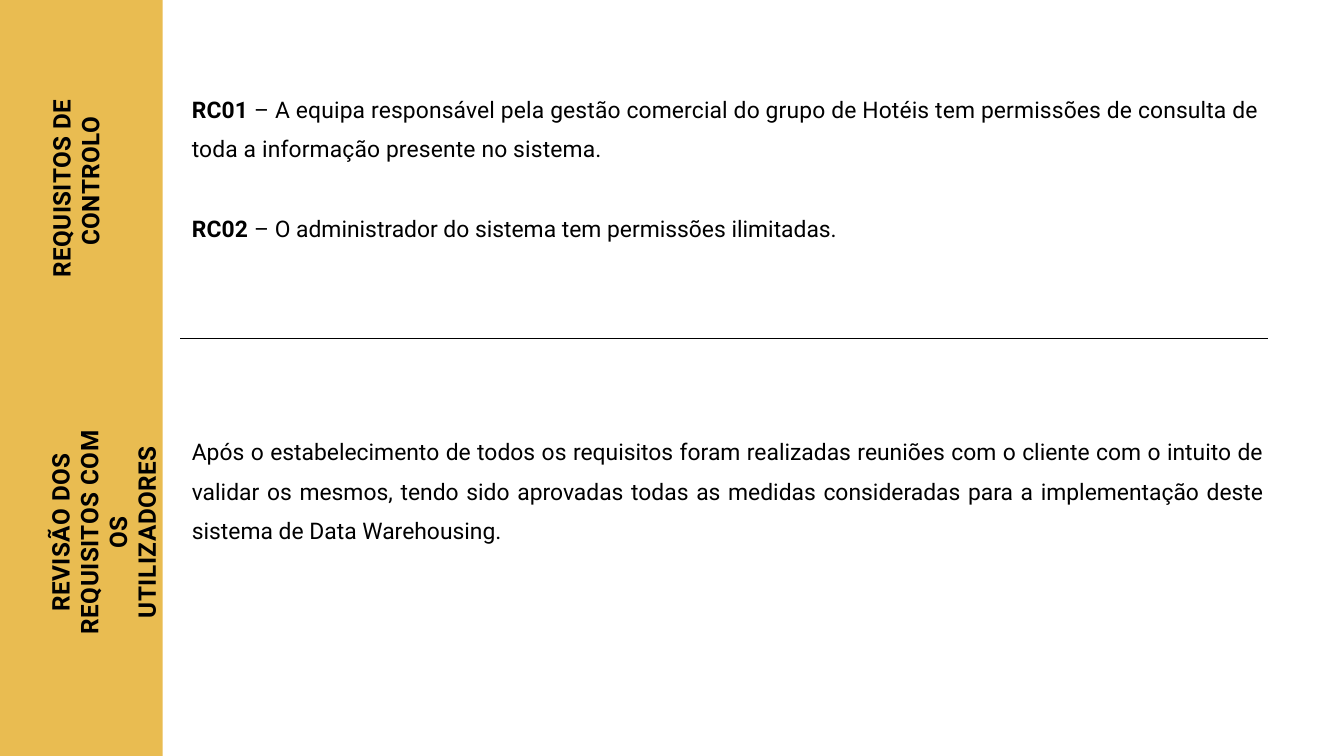
"""Build a slide with two rotated side labels, their texts and a rule between them."""
from lxml import etree
from pptx import Presentation, util as u
from pptx.dml.color import RGBColor
from pptx.enum import shapes, text
from pptx.oxml.ns import qn

HUES = {"gold": "E1A10A", "ink": "000000"}
ALIGN = text.PP_ALIGN


def place(shape, box):
    for name, size in zip(("left", "top", "width", "height"), box):
        setattr(shape, name, u.Pt(size))


def write(shape, paras, looks, size, inset=(0, 0), gap=0):
    frame = shape.text_frame
    form = {"word_wrap": True, "auto_size": text.MSO_AUTO_SIZE.NONE,
            "vertical_anchor": text.MSO_ANCHOR.TOP, "margin_left": 0,
            "margin_right": 0, "margin_top": u.Pt(1), "margin_bottom": 0}
    for name, value in form.items():
        setattr(frame, name, value)
    for num, runs in enumerate(paras):
        para = frame.add_paragraph() if num else frame.paragraphs[0]
        props = para._p.get_or_add_pPr()
        props.set("marL", str(u.Pt(inset[0])))
        props.set("indent", str(u.Pt(inset[1])))
        etree.SubElement(props, qn("a:buNone"))
        for name, value in {**looks, "space_before": u.Pt(gap if num else 0)}.items():
            setattr(para, name, value)
        for words, bold, track in runs:
            run = para.add_run()
            run.text = words
            font = {"name": "Roboto", "size": u.Pt(size), "bold": bold}
            for name, value in font.items():
                setattr(run.font, name, value)
            run.font.color.rgb = RGBColor.from_string(HUES["ink"])
            run._r.get_or_add_rPr().set("spc", str(track))


deck = Presentation()
deck.slide_width, deck.slide_height = u.Pt(1440), u.Pt(810)
slide = deck.slides.add_slide(deck.slide_layouts[3])
title, upper, lower = slide.placeholders

band = slide.shapes.add_shape(shapes.MSO_SHAPE.RECTANGLE, 0, 0, u.Pt(174.4), u.Pt(810))
band.shadow.inherit = False
band.fill.solid()
band.fill.fore_color.rgb = RGBColor.from_string(HUES["gold"])
band.line.fill.background()
tint = band.element.spPr.find(".//" + qn("a:srgbClr"))
etree.SubElement(tint, qn("a:alpha"), val="71000")
slide.shapes.element.insert(2, band.element)

label = slide.shapes.add_textbox(0, 0, 0, 0)
sides = [
    (title, (-16.15, 169.55, 193.7, 63.4), "REQUISITOS DE CONTROLO",
     ALIGN.LEFT, (35, -34), 40),
    (label, (49, 457.9, 94.3, 227.5), "REVISÃO DOS REQUISITOS COM OS UTILIZADORES",
     ALIGN.CENTER, (4, 0), 55),
]
for shape, box, words, align, inset, track in sides:
    place(shape, box)
    looks = {"alignment": align, "line_spacing": u.Pt(30.8)}
    write(shape, [[(words, True, track)]], looks, 26, inset)
title.rotation = 270
label.element.txBody.bodyPr.set("vert", "vert270")

rules = [
    [("RC01 ", True, 20),
     ("– A equipa responsável pela gestão comercial do grupo de Hotéis tem permissões "
      "de consulta de toda a informação presente no sistema.", False, 16)],
    [("RC02 ", True, 20),
     ("– O administrador do sistema tem permissões ilimitadas.", False, 0)],
]
review = [[
    ("Após o estabelecimento de todos os requisitos foram realizadas reuniões com o "
     "cliente com o intuito de validar os mesmos, tendo sido aprovadas todas as medidas "
     "consideradas para a implementação deste sistema de Data Warehousing.", False, 3),
]]
bodies = [
    (upper, (205.5, 88.5, 1150, 172), rules, ALIGN.LEFT),
    (lower, (205.5, 455, 1150, 130), review, ALIGN.JUSTIFY),
]
for shape, box, paras, align in bodies:
    place(shape, box)
    write(shape, paras, {"alignment": align, "line_spacing": 1.44}, 24.5, gap=43.3)

rule = slide.shapes.add_connector(
    shapes.MSO_CONNECTOR.STRAIGHT, u.Pt(193), u.Pt(362.5), u.Pt(1358.6), u.Pt(362.5))
rule.line.width = u.Pt(0.75)
rule.line.color.rgb = RGBColor.from_string(HUES["ink"])
etree.SubElement(rule.element.spPr, qn("a:effectLst"))

deck.save("out.pptx")
